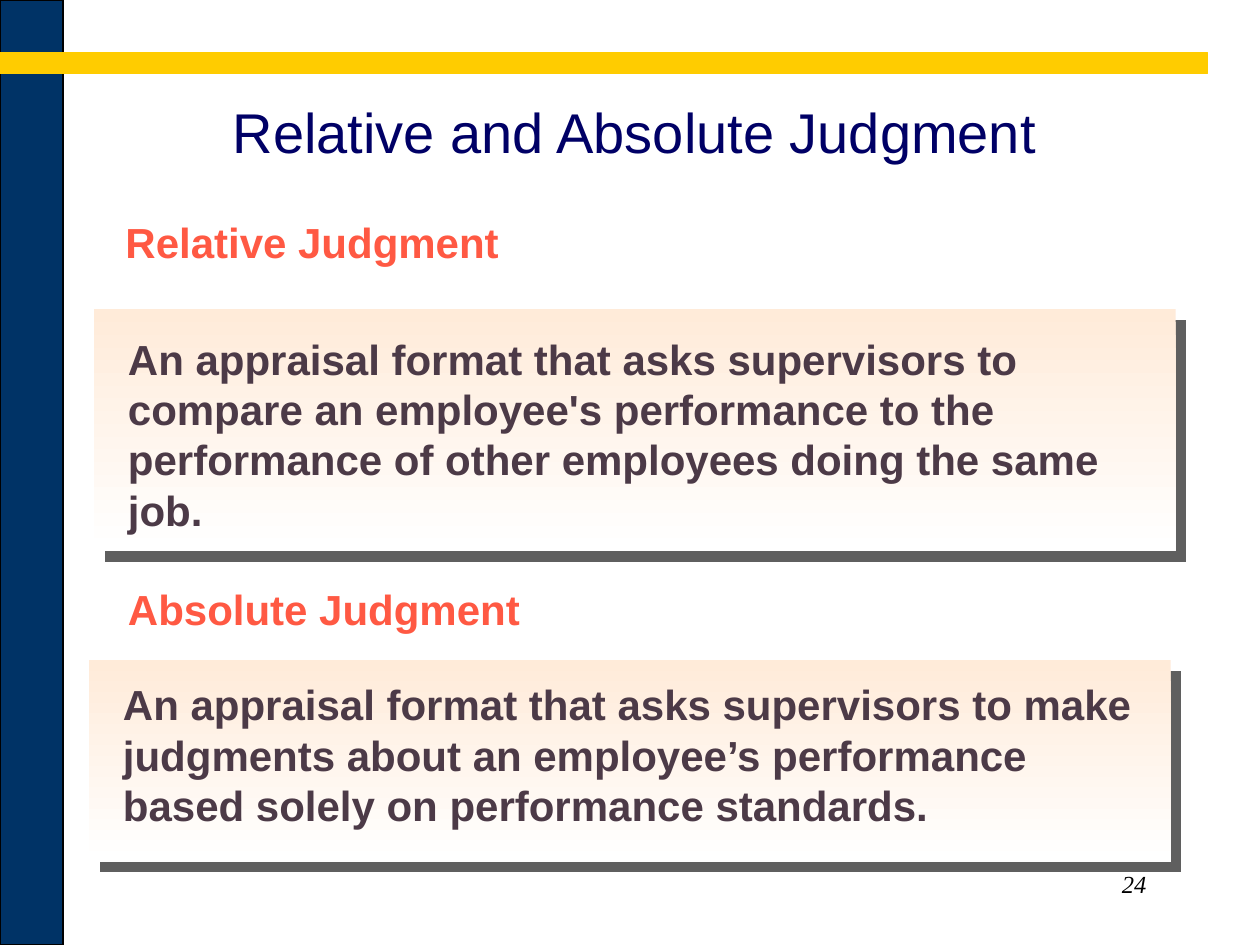
from pptx import Presentation
from pptx.util import Cm, Pt
from pptx.dml.color import RGBColor
from pptx.enum.shapes import MSO_SHAPE as Shape
from pptx.enum.text import PP_ALIGN as Align, MSO_ANCHOR as Anchor
from pptx.oxml import parse_xml
from pptx.oxml.ns import nsdecls

WIDE, HIGH = 25.4, 19.05


def color(code):
    return RGBColor.from_string(code)


def style(frame, text, size, code, font="Arial", bold=False, italic=False):
    frame.text = text
    frame.word_wrap = True
    face = frame.paragraphs[0].runs[0].font
    face.name, face.size = font, Pt(size)
    face.bold, face.italic = bold, italic
    face.color.rgb = color(code)


def add_rect(slide, box):
    rect = slide.shapes.add_shape(Shape.RECTANGLE, *map(Cm, box))
    rect.shadow.inherit = False
    rect.line.fill.background()
    return rect


def add_bar(slide, box, fill, line):
    bar = add_rect(slide, box)
    bar.fill.solid()
    bar.fill.fore_color.rgb = color(fill)
    bar.line.color.rgb = color(line)
    bar.line.width = Pt(0.75)


def add_text(slide, box, text, size, code, **look):
    frame = slide.shapes.add_textbox(*map(Cm, box)).text_frame
    style(frame, text, size, code, **look)
    return frame


def add_card(slide, box):
    """Fading panel with a hard grey shadow to the lower right."""
    card = add_rect(slide, box)
    card.fill.gradient()
    card.fill.gradient_angle = 270
    for stop, code in zip(card.fill.gradient_stops, ("FFEBD9", "FFFFFF")):
        stop.color.rgb = color(code)
    effects = card.element.spPr.find(".//{*}effectLst")
    effects.append(parse_xml(
        f'<a:outerShdw {nsdecls("a")} blurRad="0" dist="{Pt(8.5)}" '
        'dir="2700000" algn="ctr" rotWithShape="0">'
        '<a:srgbClr val="5F5F5F"/></a:outerShdw>'))


def add_term(slide, box, head, body, shift, inset):
    """Card at box, with its heading shifted from the card's corner."""
    left, top, width, height = box
    add_card(slide, box)
    add_text(slide, (left + 0.43, top + inset, 20.96, height - 2 * inset),
             body, 24, "4C3A47", bold=True)
    add_text(slide, (left + shift[0], top + shift[1], 9, 1.27),
             head, 24, "FF5943", bold=True)


def add_title(slide, box, text):
    title = slide.shapes.title
    title.left, title.top, title.width, title.height = map(Cm, box)
    frame = title.text_frame
    style(frame, text, 32, "000066")
    frame.margin_left = Cm(0.88)
    frame.vertical_anchor = Anchor.MIDDLE
    frame.paragraphs[0].alignment = Align.CENTER


def add_number(slide, box, text):
    frame = add_text(slide, box, text, 14, "000000",
                     font="Times New Roman", italic=True)
    frame.vertical_anchor = Anchor.BOTTOM
    frame.margin_right, frame.margin_bottom = Cm(0.38), Cm(0.72)
    frame.paragraphs[0].alignment = Align.RIGHT


def main():
    deck = Presentation()
    deck.slide_width, deck.slide_height = Cm(WIDE), Cm(HIGH)
    slide = deck.slides.add_slide(deck.slide_layouts[5])

    add_number(slide, (18.2, 17.78, 5.29, 1.06), "24")
    add_bar(slide, (0, 0, 1.27, HIGH), "003366", "000000")
    add_bar(slide, (0, 1.06, 24.34, 0.42), "FFCC00", "FFCC00")
    add_title(slide, (1.69, 1.06, 21.59, 3.18),
              "Relative and Absolute Judgment")
    add_term(slide, (1.9, 6.24, 21.8, 4.87), "Relative Judgment",
             "An appraisal format that asks supervisors to compare an "
             "employee's performance to the performance of other employees "
             "doing the same job.", (0.38, -2), 0.35)
    add_term(slide, (1.8, 13.31, 21.8, 4.06), "Absolute Judgment",
             "An appraisal format that asks supervisors to make judgments "
             "about an employee’s performance based solely on performance "
             "standards.", (0.53, -1.68), 0.25)
    deck.save("out.pptx")


if __name__ == "__main__":
    main()
